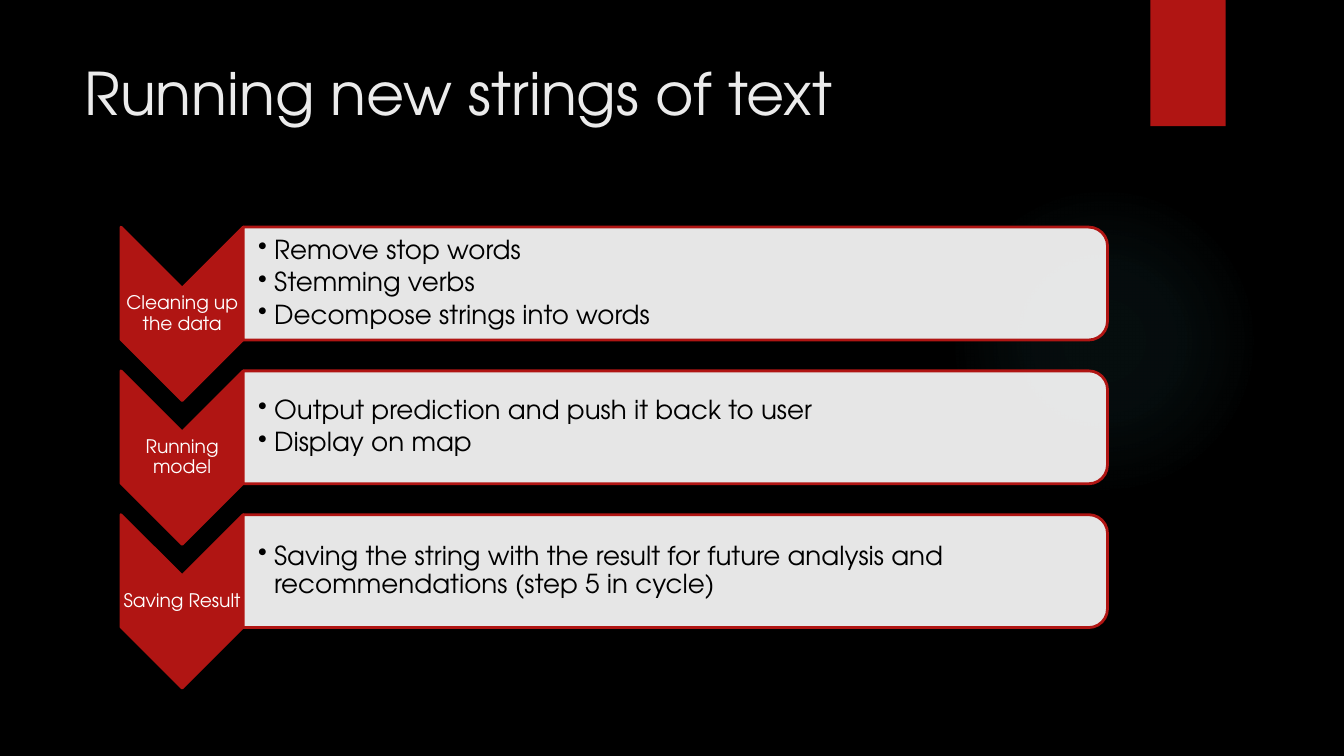
from lxml import etree
from pptx import Presentation
from pptx.dml.color import RGBColor
from pptx.enum.shapes import MSO_SHAPE
from pptx.enum.text import MSO_ANCHOR, MSO_AUTO_SIZE, PP_ALIGN
from pptx.oxml import parse_xml
from pptx.oxml.ns import nsdecls, qn
from pptx.util import Inches, Pt

RECT, ELLIPSE = MSO_SHAPE.RECTANGLE, MSO_SHAPE.OVAL
CHEVRON, ROUND_TOP = MSO_SHAPE.CHEVRON, MSO_SHAPE.ROUND_2_SAME_RECTANGLE
TOP, MIDDLE = MSO_ANCHOR.TOP, MSO_ANCHOR.MIDDLE
LEFT, CENTER = PP_ALIGN.LEFT, PP_ALIGN.CENTER

STEPS = [
    ("Cleaning up the data",
     ["Remove stop words", "Stemming verbs", "Decompose strings into words"]),
    ("Running model",
     ["Output prediction and push it back to user", "Display on map"]),
    ("Saving Result",
     ["Saving the string with the result for future analysis and "
      "recommendations (step 5 in cycle)"]),
]
FIRST_TOP, PITCH = 1.69, 1.07
STEP_LEFT, STEP_W, STEP_H = 0.9, 0.91, 1.29
PANEL_W, PANEL_H = 6.43, 0.84


def color(value):
    return RGBColor.from_string(value)


def write(p, text, size=14, fill="000000", align=LEFT, spacing=None, after=0):
    p.alignment = align
    p.space_before = Pt(0)
    p.space_after = Pt(after)
    if spacing:
        p.line_spacing = spacing
    r = p.add_run()
    r.text = text
    r.font.name = SlideBuilder.FONT
    r.font.size = Pt(size)
    r.font.color.rgb = color(fill)


def add_bullet(p, indent):
    pPr = p._p.get_or_add_pPr()
    pPr.set("marL", str(Inches(indent)))
    pPr.set("indent", str(-Inches(indent)))
    etree.SubElement(pPr, qn("a:buFontTx"))
    etree.SubElement(pPr, qn("a:buChar")).set("char", "•")


class SlideBuilder:
    FONT = "TeX Gyre Adventor"
    RED, WHITE, TITLE, GLOW = "B01513", "FFFFFF", "EBEBEB", "50B9C1"

    def __init__(self, prs):
        self.s = prs.slides.add_slide(prs.slide_layouts[5])
        fill = self.s.background.fill
        fill.solid()
        fill.fore_color.rgb = color("000000")

    def shape(self, kind, x, y, w, h, fill, line=None, opacity=None, quarter_turn=False):
        """Place a shape by its visible box, even when it is turned by 90 degrees."""
        if quarter_turn:
            x, y, w, h = x + (w - h) / 2, y + (h - w) / 2, h, w
        sp = self.s.shapes.add_shape(kind, Inches(x), Inches(y), Inches(w), Inches(h))
        sp.rotation = 90 if quarter_turn else 0
        sp.shadow.inherit = False
        sp.fill.solid()
        sp.fill.fore_color.rgb = color(fill)
        if opacity:
            clr = sp._element.spPr.find(qn("a:solidFill"))[0]
            etree.SubElement(clr, qn("a:alpha")).set("val", str(opacity * 1000))
        if line:
            sp.line.color.rgb = color(line)
            sp.line.width = Pt(1.5)
        else:
            sp.line.fill.background()
        return sp

    def glow(self, x, y, size, stops):
        """Add a circle that fades outwards; stops are (position, opacity) in percent."""
        sp = self.shape(ELLIPSE, x, y, size, size, self.GLOW)
        gs = "".join(
            f'<a:gs pos="{pos * 1000}"><a:srgbClr val="{self.GLOW}">'
            f'<a:alpha val="{alpha * 1000}"/></a:srgbClr></a:gs>' for pos, alpha in stops)
        grad = parse_xml(
            f'<a:gradFill {nsdecls("a")} rotWithShape="1"><a:gsLst>{gs}</a:gsLst>'
            '<a:path path="circle"><a:fillToRect l="50000" t="50000" r="50000" b="50000"/>'
            '</a:path></a:gradFill>')
        spPr = sp._element.spPr
        spPr.replace(spPr.find(qn("a:solidFill")), grad)

    def title(self, text, x, y, w, h):
        sp = self.s.shapes.title
        sp.left, sp.top, sp.width, sp.height = map(Inches, (x, y, w, h))
        tf = sp.text_frame
        tf.auto_size = MSO_AUTO_SIZE.NONE
        tf.vertical_anchor = TOP
        write(tf.paragraphs[0], text, size=31.5, fill=self.TITLE)

    def text(self, lines, x, y, w, h, inset=0.01, bullet=None, **fmt):
        tf = self.s.shapes.add_textbox(*map(Inches, (x, y, w, h))).text_frame
        tf.word_wrap = True
        tf.vertical_anchor = MIDDLE
        tf.margin_left = Inches(inset)
        tf.margin_top = tf.margin_right = tf.margin_bottom = Inches(0.01)
        for i, line in enumerate(lines):
            p = tf.add_paragraph() if i else tf.paragraphs[0]
            write(p, line, spacing=0.9, **fmt)
            if bullet:
                add_bullet(p, bullet)

    def step(self, label, points, top):
        self.shape(CHEVRON, STEP_LEFT, top, STEP_W, STEP_H, self.RED, self.RED,
                   quarter_turn=True)
        self.text([label], STEP_LEFT, top + 0.45, STEP_W, 0.39,
                  size=10, fill=self.WHITE, align=CENTER, after=3.5)
        panel_left = STEP_LEFT + STEP_W
        self.shape(ROUND_TOP, panel_left, top, PANEL_W, PANEL_H, self.WHITE, self.RED,
                   opacity=90, quarter_turn=True)
        self.text(points, panel_left, top + 0.04, PANEL_W - 0.04, PANEL_H - 0.08,
                  inset=0.11, bullet=0.12, after=2.1)


def main():
    prs = Presentation()
    prs.slide_width = Inches(10)
    prs.slide_height = prs.slide_width * 9 // 16
    slide = SlideBuilder(prs)
    slide.glow(7.06, 1.38, 2.31, [(0, 7), (36, 6), (69, 0)])
    slide.shape(RECT, 8.56, 0, 0.56, 0.94, slide.RED)
    slide.title("Running new strings of text", 0.53, 0.37, 7.71, 1.15)
    for i, (label, points) in enumerate(STEPS):
        slide.step(label, points, FIRST_TOP + i * PITCH)
    prs.save("out.pptx")


if __name__ == "__main__":
    main()
